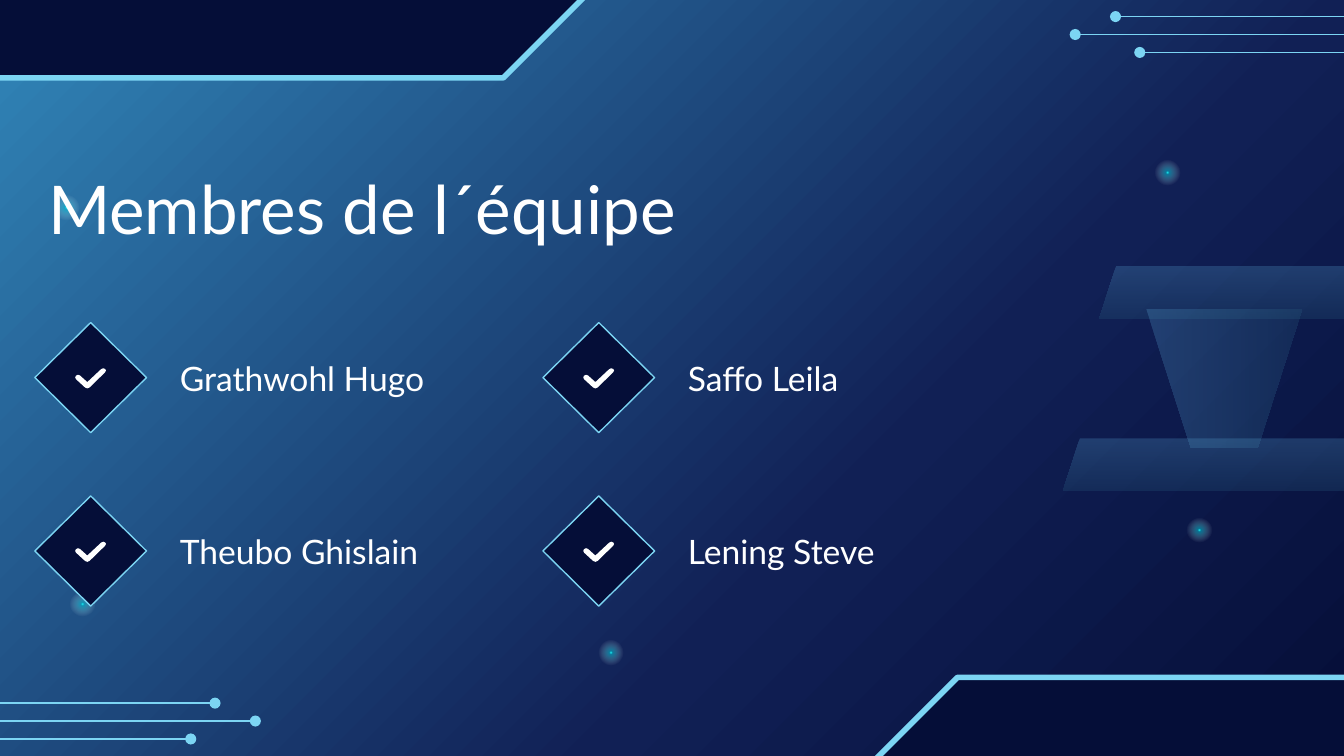
from lxml import etree
from pptx import Presentation
from pptx.dml.color import RGBColor
from pptx.enum.shapes import MSO_CONNECTOR, MSO_SHAPE
from pptx.enum.text import MSO_ANCHOR
from pptx.oxml.ns import qn
from pptx.util import Pt

STRAIGHT = MSO_CONNECTOR.STRAIGHT
SNIPPED = MSO_SHAPE.SNIP_2_SAME_RECTANGLE
TRAPEZOID = MSO_SHAPE.TRAPEZOID
OVAL = MSO_SHAPE.OVAL
DIAMOND = MSO_SHAPE.DIAMOND
MIDDLE = MSO_ANCHOR.MIDDLE

NAVY, SKY, WHITE = "050E38", "7CD5F3", "FFFFFF"
FONT = "Lato"
BACKGROUND_STOPS = [(0, "3186B9", 100), (64, "112055", 100), (100, NAVY, 100)]
BEAM_STOPS = [(0, "59A4D3", 25), (100, "2A5F80", 25)]
GLOW_STOPS = [(0, "21FFFF", 100), (9, "05D8E7", 48), (69, WHITE, 0), (100, WHITE, 0)]

CIRCUIT_INSETS = [21.6, 0, 34.6]
CIRCUIT_STEP = 9.6
CIRCUIT_LENGTH = 166.4
GLOW_SIZE = 13.7
GLOWS = [(28.8, 104.4), (635.8, 277.2), (320.4, 342.7), (37.4, 316.8), (618.5, 85.7)]
CHECK_POINTS = [
    (15, 0), (13.9, 0.5), (6.5, 7.4), (2.6, 3.9), (1.5, 3.5), (0.4, 4), (0, 5),
    (0.5, 5.9), (5.3, 10.3), (6.5, 10.8), (7.7, 10.3), (16, 2.2), (16.5, 1.2), (16.1, 0.4),
]
BADGE_WIDTH, BADGE_HEIGHT = 59.8, 59
GRID_LEFT, GRID_TOP = 18.7, 172.8
COLUMN_STEP, ROW_STEP = 272.2, 92.9
MEMBERS = [
    [("Grathwohl Hugo", 179.3, 48.2), ("Saffo Leila", 151.2, 27.4)],
    [("Theubo Ghislain", 187.9, 27.4), ("Lening Steve", 151.2, 27.4)],
]


def color(hex_string):
    return RGBColor.from_string(hex_string)


def set_gradient(fill, parent, stops, angle=None):
    fill.solid()
    gradient = etree.Element(qn("a:gradFill"), rotWithShape="1")
    stop_list = etree.SubElement(gradient, qn("a:gsLst"))
    for position, hex_string, opacity in stops:
        stop = etree.SubElement(stop_list, qn("a:gs"), pos=str(position * 1000))
        stop_color = etree.SubElement(stop, qn("a:srgbClr"), val=hex_string)
        if opacity < 100:
            etree.SubElement(stop_color, qn("a:alpha"), val=str(opacity * 1000))
    if angle is None:
        circle = etree.SubElement(gradient, qn("a:path"), path="circle")
        etree.SubElement(circle, qn("a:fillToRect"), l="50000", t="50000", r="50000", b="50000")
    else:
        etree.SubElement(gradient, qn("a:lin"), ang=str(angle * 60000), scaled="0")
    parent.replace(parent.find(qn("a:solidFill")), gradient)


def add_plain_shape(slide, kind, left, top, width, height):
    shape = slide.shapes.add_shape(kind, Pt(left), Pt(top), Pt(width), Pt(height))
    shape.shadow.inherit = False
    shape.line.fill.background()
    return shape


def add_outlined_shape(slide, kind, left, top, width, height, line_width):
    shape = add_plain_shape(slide, kind, left, top, width, height)
    shape.fill.solid()
    shape.fill.fore_color.rgb = color(NAVY)
    shape.line.color.rgb = color(SKY)
    shape.line.width = Pt(line_width)
    return shape


def add_text(slide, text, left, top, width, height, size):
    box = slide.shapes.add_textbox(Pt(left), Pt(top), Pt(width), Pt(height))
    frame = box.text_frame
    frame.word_wrap = True
    frame.vertical_anchor = MIDDLE
    frame.margin_left = frame.margin_right = Pt(7.2)
    frame.margin_top = frame.margin_bottom = Pt(7.2)
    paragraph = frame.paragraphs[0]
    paragraph.text = text
    paragraph.font.name = FONT
    paragraph.font.size = Pt(size)
    paragraph.font.color.rgb = color(WHITE)


def add_corner_panel(slide, left, top, rotation):
    panel = add_outlined_shape(slide, SNIPPED, left, top, 373.7, 101.5, 3)
    panel.adjustments[0] = 0.5
    panel.adjustments[1] = 0
    panel.rotation = rotation


def add_circuit(slide, tip, top, direction):
    for row, inset in enumerate(CIRCUIT_INSETS):
        end = tip + direction * inset
        y = Pt(top + row * CIRCUIT_STEP)
        connector = slide.shapes.add_connector(
            STRAIGHT, Pt(end + direction * CIRCUIT_LENGTH), y, Pt(end), y)
        connector.line.color.rgb = color(SKY)
        connector.line.width = Pt(0.75)
        properties = connector.element.spPr
        etree.SubElement(properties.find(qn("a:ln")), qn("a:tailEnd"), type="oval")
        etree.SubElement(properties, qn("a:effectLst"))


def add_beam(slide, left, top, width, height, rotation, angle):
    beam = add_plain_shape(slide, TRAPEZOID, left, top, width, height)
    beam.adjustments[0] = 0.321
    beam.rotation = rotation
    set_gradient(beam.fill, beam.element.spPr, BEAM_STOPS, angle)


def add_emblem(slide, left, top):
    add_beam(slide, left + 19.4, top, 216.7, 28.1, 0, 90)
    add_beam(slide, left + 44.6, top + 23, 83.5, 74.2, 180, 180)
    add_beam(slide, left, top + 92.2, 216.7, 28.1, 0, 90)


def add_glow(slide, left, top):
    glow = add_plain_shape(slide, OVAL, left, top, GLOW_SIZE, GLOW_SIZE)
    set_gradient(glow.fill, glow.element.spPr, GLOW_STOPS)


def add_check(slide, left, top):
    points = [(Pt(left + x), Pt(top + y)) for x, y in CHECK_POINTS]
    builder = slide.shapes.build_freeform(*points[0], scale=1.0)
    builder.add_line_segments(points[1:], close=True)
    check = builder.convert_to_shape()
    check.shadow.inherit = False
    check.fill.solid()
    check.fill.fore_color.rgb = color(WHITE)
    check.line.fill.background()


def add_member(slide, left, top, name, width, height):
    add_outlined_shape(slide, DIAMOND, left, top, BADGE_WIDTH, BADGE_HEIGHT, 0.75)
    add_check(slide, left + 21.6, top + 24.5)
    add_text(slide, name, left + 70.6, top + (BADGE_HEIGHT - height) / 2, width, height, 18)


def add_decoration(slide):
    add_corner_panel(slide, 462.2, 362.9, 0)
    add_circuit(slide, 576, 8.9, 1)
    add_corner_panel(slide, -53.3, -59.8, 180)
    add_circuit(slide, 136.8, 376.7, -1)
    add_emblem(slide, 569.5, 142.6)
    for left, top in GLOWS:
        add_glow(slide, left, top)


def add_team(slide, left, top):
    for row, members in enumerate(MEMBERS):
        for column, member in enumerate(members):
            add_member(slide, left + column * COLUMN_STEP, top + row * ROW_STEP, *member)


def main():
    presentation = Presentation()
    presentation.slide_width = Pt(720)
    presentation.slide_height = Pt(405)
    slide = presentation.slides.add_slide(presentation.slide_layouts[6])
    fill = slide.background.fill
    set_gradient(fill, slide.element.find(".//" + qn("p:bgPr")), BACKGROUND_STOPS, 45)
    add_decoration(slide)
    add_text(slide, "Membres de l´équipe", 18.7, 77, 431.3, 68.4, 36)
    add_team(slide, GRID_LEFT, GRID_TOP)
    presentation.save("out.pptx")


if __name__ == "__main__":
    main()
